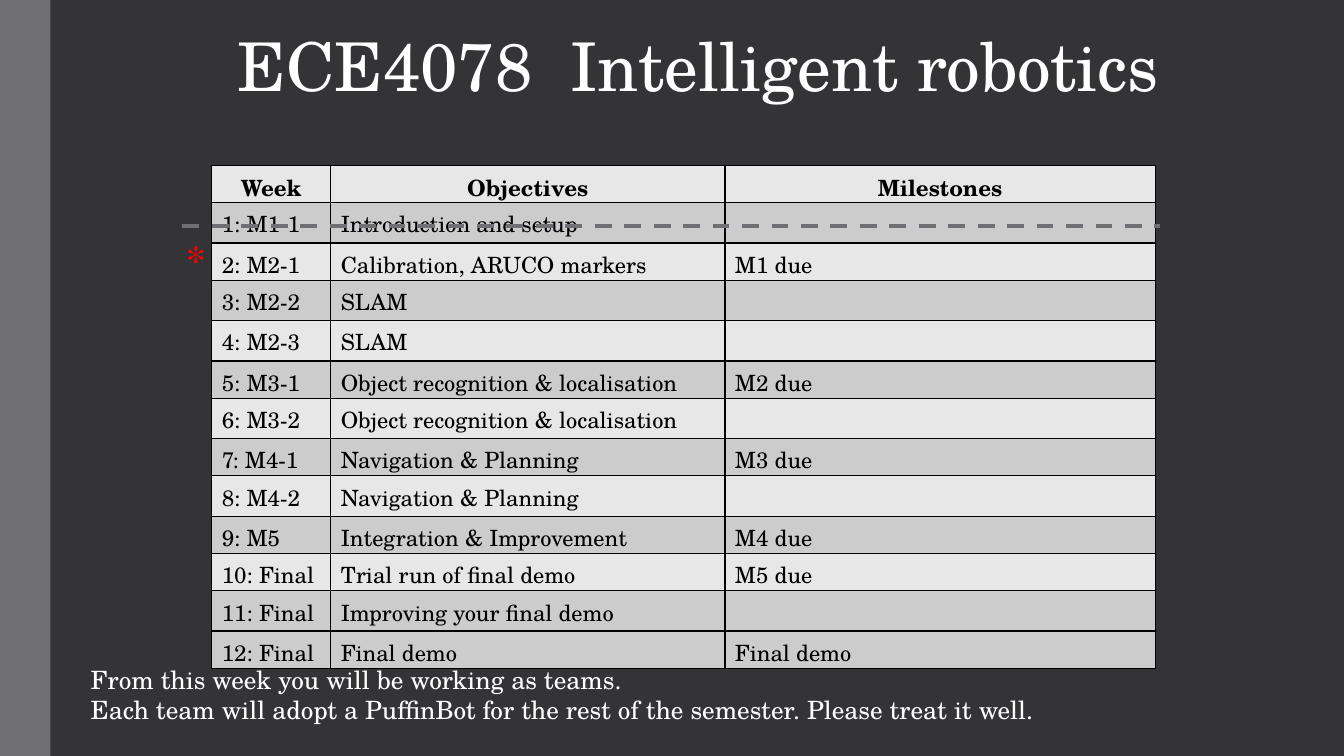
from pptx import Presentation
from pptx.dml.color import RGBColor
from pptx.enum.dml import MSO_LINE
from pptx.enum.shapes import MSO_CONNECTOR, MSO_SHAPE
from pptx.enum.text import PP_ALIGN
from pptx.oxml.ns import qn
from pptx.util import Inches, Pt
from lxml.etree import SubElement

DARK = RGBColor(0x34, 0x34, 0x37)
GREY = RGBColor(0x6F, 0x6F, 0x74)
PALE = RGBColor(0xE7, 0xE7, 0xE7)
BAND = RGBColor(0xCC, 0xCC, 0xCC)
WHITE = RGBColor(0xFF, 0xFF, 0xFF)
BLACK = RGBColor(0, 0, 0)
RED = RGBColor(0xFF, 0, 0)
FONT = "TeX Gyre Schola"

WEEKS = [
    ("Week", "Objectives", "Milestones"),
    ("1: M1-1", "Introduction and setup", ""),
    ("2: M2-1", "Calibration, ARUCO markers", "M1 due"),
    ("3: M2-2", "SLAM", ""),
    ("4: M2-3", "SLAM", ""),
    ("5: M3-1", "Object recognition & localisation", "M2 due"),
    ("6: M3-2", "Object recognition & localisation", ""),
    ("7: M4-1", "Navigation & Planning", "M3 due"),
    ("8: M4-2", "Navigation & Planning", ""),
    ("9: M5", "Integration & Improvement", "M4 due"),
    ("10: Final", "Trial run of final demo", "M5 due"),
    ("11: Final", "Improving your final demo", ""),
    ("12: Final", "Final demo", "Final demo"),
]


def write(frame, text, size=18, color=WHITE, bold=False, align=PP_ALIGN.LEFT):
    """Fill a text frame, one paragraph for each line of text."""
    for i, line in enumerate(text.split("\n")):
        para = frame.add_paragraph() if i else frame.paragraphs[0]
        para.alignment = align
        run = para.add_run()
        run.text = line
        font = run.font
        font.name, font.size, font.bold = FONT, Pt(size), bold
        font.color.rgb = color


def border(cell, width=0.96):
    """Draw all four edges of a cell, ahead of its fill."""
    props = cell._tc.get_or_add_tcPr()
    for i, side in enumerate(("lnL", "lnR", "lnT", "lnB")):
        edge = SubElement(props, qn(f"a:{side}"), w=str(Pt(width)))
        fill = SubElement(edge, qn("a:solidFill"))
        SubElement(fill, qn("a:srgbClr"), val=str(BLACK))
        props.insert(i, edge)


class Page:
    def __init__(self, deck):
        self.slide = deck.slides.add_slide(deck.slide_layouts[6])
        self.shapes = self.slide.shapes
        back = self.slide.background.fill
        back.solid()
        back.fore_color.rgb = DARK

    def bar(self, *box):
        bar = self.shapes.add_shape(MSO_SHAPE.RECTANGLE, *map(Inches, box))
        bar.shadow.inherit = False
        bar.fill.solid()
        bar.fill.fore_color.rgb = GREY
        bar.line.fill.background()

    def text(self, text, *box, **style):
        frame = self.shapes.add_textbox(*map(Inches, box)).text_frame
        frame.word_wrap = True
        write(frame, text, **style)

    def table(self, rows, left, top, widths):
        # Rows without a milestone are a little taller
        highs = [0.37 if row[-1] else 0.4 for row in rows]
        box = map(Inches, (left, top, sum(widths), sum(highs)))
        table = self.shapes.add_table(len(rows), len(widths), *box).table
        table.first_row = table.horz_banding = False
        for col, width in zip(table.columns, widths):
            col.width = Inches(width)
        for r, row in enumerate(rows):
            table.rows[r].height = Inches(highs[r])
            head, last = r == 0, r == len(rows) - 1
            for c, text in enumerate(row):
                cell = table.cell(r, c)
                cell.fill.solid()
                cell.fill.fore_color.rgb = BAND if r % 2 or last else PALE
                border(cell)
                write(cell.text_frame, text, size=16, color=BLACK, bold=head,
                      align=PP_ALIGN.CENTER if head else PP_ALIGN.LEFT)

    def dash(self, *ends):
        rule = self.shapes.add_connector(MSO_CONNECTOR.STRAIGHT, *map(Inches, ends))
        rule.line.color.rgb = GREY
        rule.line.width = Pt(3)
        rule.line.dash_style = MSO_LINE.DASH
        SubElement(rule._element.spPr, qn("a:effectLst"))


def main():
    deck = Presentation()
    deck.slide_width, deck.slide_height = Inches(13.33), Inches(7.5)
    page = Page(deck)

    # Side bar and title
    page.bar(0, 0, 0.5, 7.5)
    page.text("ECE4078  Intelligent robotics", 0.52, 0.19, 12.81, 0.9,
              size=48, align=PP_ALIGN.CENTER)

    # Mark of the current week and team note
    page.text("*", 1.75, 2.3, 0.35, 0.56, size=28, color=RED)
    page.text("From this week you will be working as teams.\n"
              "Each team will adopt a PuffinBot for the rest of the semester."
              " Please treat it well.", 0.8, 6.54, 11.72, 0.7)

    # Schedule, with the past week struck out
    page.table(WEEKS, 2.1, 1.64, (1.18, 3.91, 4.27))
    page.dash(1.81, 2.24, 11.51, 2.24)

    deck.save("out.pptx")


if __name__ == "__main__":
    main()
